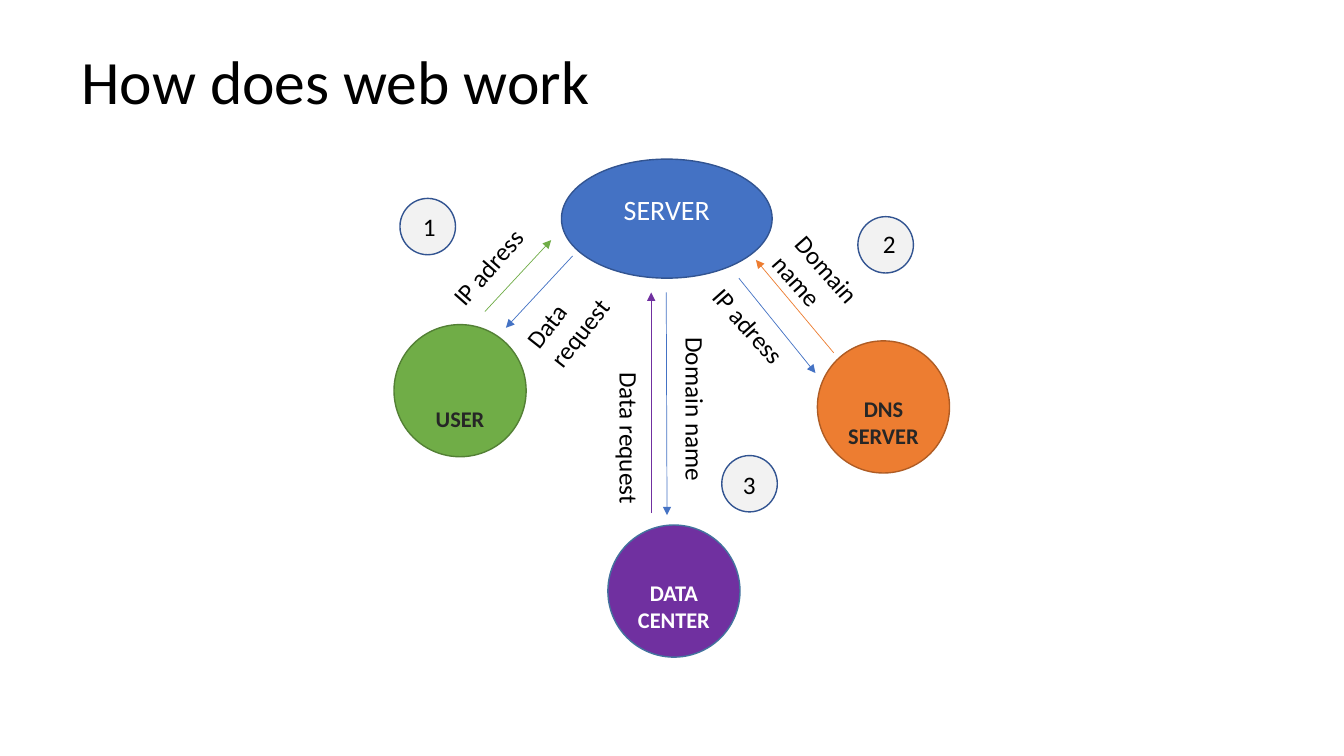
from dataclasses import dataclass

from lxml.etree import SubElement
from pptx import Presentation
from pptx.dml.color import RGBColor
from pptx.enum.shapes import MSO_CONNECTOR, MSO_SHAPE
from pptx.enum.text import MSO_ANCHOR, PP_ALIGN
from pptx.oxml.ns import qn
from pptx.slide import Slide
from pptx.text.text import TextFrame
from pptx.util import Cm, Pt


@dataclass(frozen=True)
class Theme:
    font: str = "Calibri"
    black: str = "000000"
    white: str = "FFFFFF"
    dark: str = "262626"
    blue: str = "4472C4"
    blue_edge: str = "325491"
    green: str = "70AD47"
    green_edge: str = "538035"
    orange: str = "ED7D31"
    orange_edge: str = "AF5C24"
    purple: str = "7030A0"
    purple_edge: str = "43739E"
    pale: str = "F2F2F2"
    title_size: int = 44
    server_size: int = 20
    label_size: int = 18
    node_size: int = 16
    edge_width: float = 1
    arrow_width: float = 0.5


THEME = Theme()


@dataclass(frozen=True)
class Node:
    left: float
    top: float
    fill: str
    edge: str
    text: str = ""
    color: str = THEME.dark
    width: float = 3.33
    height: float = 3.33


@dataclass(frozen=True)
class Arrow:
    start: tuple[float, float]
    end: tuple[float, float]
    color: str


@dataclass(frozen=True)
class Label:
    text: str
    left: float
    top: float
    width: float = 3.2
    height: float = 1.02
    rotation: float = 0
    size: int = THEME.label_size
    color: str = THEME.black
    align: PP_ALIGN = PP_ALIGN.LEFT


@dataclass(frozen=True)
class Step:
    number: str
    left: float
    top: float
    digit_left: float
    digit_top: float


NODES = [
    Node(9.93, 8.18, THEME.green, THEME.green_edge, "USER"),
    Node(14.15, 4.01, THEME.blue, THEME.blue_edge, width=5.31, height=3),
    Node(20.6, 8.59, THEME.orange, THEME.orange_edge, "DNS SERVER"),
    Node(15.32, 13.23, THEME.purple, THEME.purple_edge, "DATA CENTER", THEME.white),
]

ARROWS = [
    Arrow((14.43, 6.45), (12.75, 8.26), THEME.blue),
    Arrow((16.79, 7.37), (16.81, 12.98), THEME.blue),
    Arrow((18.62, 7.01), (20.55, 9.4), THEME.blue),
    Arrow((12.22, 7.85), (13.89, 6.05), THEME.green),
    Arrow((16.41, 12.93), (16.41, 7.37), THEME.purple),
    Arrow((21.01, 8.89), (19.05, 6.55), THEME.orange),
]

LABELS = [
    Label("SERVER", 14.66, 4.72, 4.29, 1.12, size=THEME.server_size,
          color=THEME.white, align=PP_ALIGN.CENTER),
    Label("IP adress", 10.82, 6.07, rotation=311.4),
    Label("Data request", 12.93, 6.96, height=1.8, rotation=308.2),
    Label("Data request", 13.82, 10.67, 4.09, rotation=90),
    Label("Domain name", 15.19, 10.08, 4.67, rotation=90),
    Label("IP adress", 17.4, 7.85, rotation=48.4),
    Label("Domain name", 19.18, 6.4, height=1.8, rotation=48.6),
]

STEPS = [
    Step("1", 10.08, 5, 10.41, 5.21),
    Step("2", 21.62, 5.46, 22, 5.64),
    Step("3", 18.19, 11.48, 18.47, 11.71),
]


def write(frame: TextFrame, text: str, size: int, color: str,
          align: PP_ALIGN, bold: bool = False) -> None:
    frame.word_wrap = True
    paragraph = frame.paragraphs[0]
    paragraph.text = text
    paragraph.alignment = align
    paragraph.font.name = THEME.font
    paragraph.font.size = Pt(size)
    paragraph.font.bold = bold
    paragraph.font.color.rgb = RGBColor.from_string(color)


def add_title(slide: Slide, text: str) -> None:
    title = slide.shapes.title
    title.left, title.top, title.width, title.height = Cm(1.8), Cm(0.28), Cm(29.21), Cm(3.68)
    write(title.text_frame, text, THEME.title_size, THEME.black, PP_ALIGN.LEFT)
    title.text_frame.vertical_anchor = MSO_ANCHOR.MIDDLE
    title.text_frame.paragraphs[0].line_spacing = 0.9


def add_node(slide: Slide, node: Node) -> None:
    ellipse = slide.shapes.add_shape(MSO_SHAPE.OVAL, Cm(node.left), Cm(node.top),
                                     Cm(node.width), Cm(node.height))
    ellipse.shadow.inherit = False
    ellipse.fill.solid()
    ellipse.fill.fore_color.rgb = RGBColor.from_string(node.fill)
    ellipse.line.color.rgb = RGBColor.from_string(node.edge)
    ellipse.line.width = Pt(THEME.edge_width)
    if node.text:
        write(ellipse.text_frame, node.text, THEME.node_size, node.color,
              PP_ALIGN.CENTER, bold=True)
        ellipse.text_frame.vertical_anchor = MSO_ANCHOR.BOTTOM


def add_arrow(slide: Slide, arrow: Arrow) -> None:
    ends = [Cm(value) for value in (*arrow.start, *arrow.end)]
    connector = slide.shapes.add_connector(MSO_CONNECTOR.STRAIGHT, *ends)
    connector.line.color.rgb = RGBColor.from_string(arrow.color)
    connector.line.width = Pt(THEME.arrow_width)
    SubElement(connector.line._get_or_add_ln(), qn("a:tailEnd"), type="triangle")
    SubElement(connector._element.spPr, qn("a:effectLst"))


def add_label(slide: Slide, label: Label) -> None:
    box = slide.shapes.add_textbox(Cm(label.left), Cm(label.top),
                                   Cm(label.width), Cm(label.height))
    box.rotation = label.rotation
    write(box.text_frame, label.text, label.size, label.color, label.align)


def add_step(slide: Slide, step: Step) -> None:
    add_node(slide, Node(step.left, step.top, THEME.pale, THEME.blue_edge,
                         width=1.4, height=1.42))
    add_label(slide, Label(step.number, step.digit_left, step.digit_top, 0.84))


def main() -> None:
    deck = Presentation()
    deck.slide_width, deck.slide_height = Cm(33.87), Cm(19.05)
    slide = deck.slides.add_slide(deck.slide_layouts[5])
    add_title(slide, "How does web work")
    for node in NODES:
        add_node(slide, node)
    for arrow in ARROWS:
        add_arrow(slide, arrow)
    for label in LABELS:
        add_label(slide, label)
    for step in STEPS:
        add_step(slide, step)
    deck.save("out.pptx")


if __name__ == "__main__":
    main()
